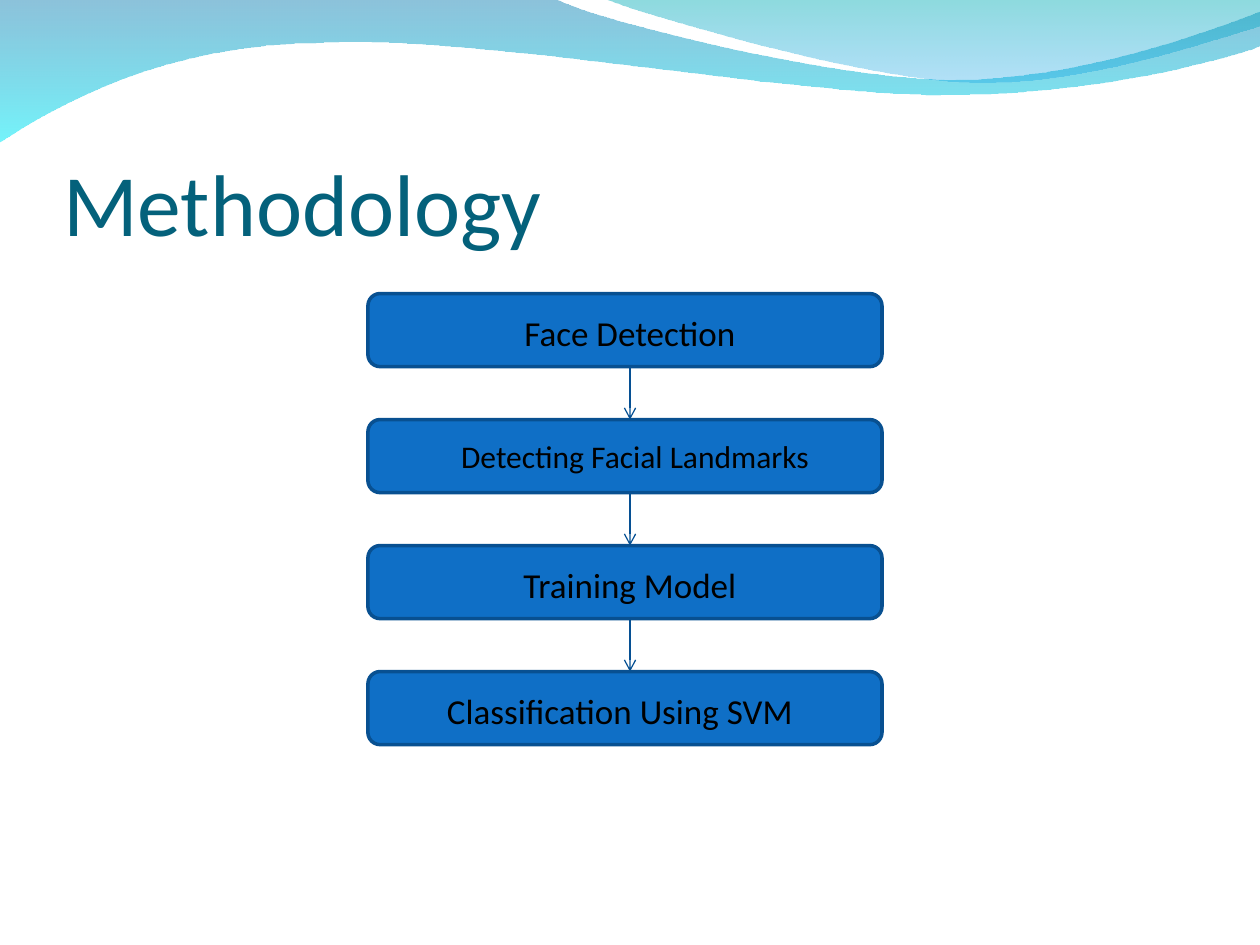
from lxml.etree import Element, SubElement
from pptx import Presentation
from pptx.dml.color import RGBColor
from pptx.enum.shapes import MSO_CONNECTOR, MSO_SHAPE
from pptx.enum.text import MSO_ANCHOR, MSO_AUTO_SIZE, PP_ALIGN
from pptx.oxml.ns import qn
from pptx.util import Inches, Pt

# Content: label, text size, centre and width of the label
STEPS = [
    ("Face Detection", 20, 5, 3),
    ("Detecting Facial Landmarks", 18, 5.04, 3.42),
    ("Training Model", 20, 5, 3),
    ("Classification Using SVM", 20, 4.92, 3),
]
BOX_LEFT, BOX_TOP, BOX_WIDTH, BOX_HEIGHT = 2.92, 2.33, 4.08, 0.58
STEP_PITCH, ARROW_X = 1, 5

# Header waves: two numbers make a line, six make a Bézier curve;
# each gradient stop is a colour with its opacity in percent
WAVES = [
    {"start": (0, -0.01),
     "segments": [(4.4, -0.01), (4.76, 0.17, 6.64, 0.63, 7.58, 0.63),
                  (8.53, 0.63, 9.58, 0.26, 10, 0.09), (10.01, 0.36),
                  (9.83, 0.44, 8.7, 0.76, 7.46, 0.75),
                  (6.22, 0.75, 3.82, 0.28, 2.57, 0.34),
                  (1.29, 0.35, 0.46, 0.83, -0.01, 1.13), (0, -0.01)],
     "stops": [("0079AF", 45), ("00EBF8", 55)]},
    {"start": (4.79, -0.01),
     "segments": [(5.09, 0.11, 6.82, 0.62, 7.69, 0.65),
                  (8.56, 0.69, 9.61, 0.32, 10, 0.21), (10, 0),
                  (4.79, -0.01)],
     "stops": [("00ADB6", 45), ("009BE5", 30)]},
]


def color(value):
    return RGBColor.from_string(value)


def write(frame, text, *, size, ink, align, anchor=MSO_ANCHOR.TOP,
          insets=(0.1, 0.05, 0.1, 0.05), fit=MSO_AUTO_SIZE.NONE):
    frame.word_wrap = True
    frame.auto_size = fit
    frame.vertical_anchor = anchor
    (frame.margin_left, frame.margin_top,
     frame.margin_right, frame.margin_bottom) = map(Inches, insets)
    para = frame.paragraphs[0]
    para.alignment = align
    span = para.add_run()
    span.text = text
    span.font.name = "Calibri"
    span.font.size = Pt(size)
    span.font.color.rgb = color(ink)


def bend(wave, segments):
    """Turn the straight lines of a wave into curves where it has them."""
    lines = list(wave.element.spPr.iter(qn("a:lnTo")))
    for line, segment in zip(lines, segments):
        if len(segment) == 6:
            curve = Element(qn("a:cubicBezTo"))
            for x, y in zip(segment[::2], segment[1::2]):
                SubElement(curve, qn("a:pt"), x=str(Inches(x) - wave.left),
                           y=str(Inches(y) - wave.top))
            line.getparent().replace(line, curve)


def add_wave(shapes, start, segments, stops):
    builder = shapes.build_freeform(*map(Inches, start))
    builder.add_line_segments([tuple(map(Inches, segment[-2:]))
                               for segment in segments], close=True)
    wave = builder.convert_to_shape()
    bend(wave, segments)
    wave.shadow.inherit = False
    wave.fill.gradient()
    wave.fill.gradient_angle = 270
    for stop, (value, _) in zip(wave.fill.gradient_stops, stops):
        stop.color.rgb = color(value)
    for tint, (_, opacity) in zip(wave.element.spPr.iter(qn("a:srgbClr")), stops):
        SubElement(tint, qn("a:alpha"), val=str(opacity * 1000))
    wave.line.fill.background()


def add_arrow(shapes, top, bottom):
    arrow = shapes.add_connector(MSO_CONNECTOR.STRAIGHT, Inches(ARROW_X),
                                 Inches(top), Inches(ARROW_X), Inches(bottom))
    arrow.line.color.rgb = color("065093")
    arrow.line.width = Pt(0.75)
    outline = arrow.element.spPr.find(qn("a:ln"))
    SubElement(outline, qn("a:tailEnd"), type="arrow")
    SubElement(arrow.element.spPr, qn("a:effectLst"))


def main():
    deck = Presentation()
    deck.slide_width, deck.slide_height = Inches(10), Inches(7.5)
    slide = deck.slides.add_slide(deck.slide_layouts[5])
    shapes = slide.shapes

    # Header waves, behind the title
    for wave in WAVES:
        add_wave(shapes, **wave)

    # Title
    title = shapes.title
    title.left, title.top = Inches(0.5), Inches(0.77)
    title.width, title.height = Inches(9), Inches(1.25)
    write(title.text_frame, "Methodology", size=50, ink="04617B",
          align=PP_ALIGN.LEFT, anchor=MSO_ANCHOR.BOTTOM, insets=(0, 0.05, 0, 0))
    title.element.getparent().append(title.element)

    # Step boxes
    tops = [BOX_TOP + STEP_PITCH * index for index in range(len(STEPS))]
    for top in tops:
        box = shapes.add_shape(MSO_SHAPE.ROUNDED_RECTANGLE, Inches(BOX_LEFT),
                               Inches(top), Inches(BOX_WIDTH), Inches(BOX_HEIGHT))
        box.shadow.inherit = False
        box.fill.solid()
        box.fill.fore_color.rgb = color("0F6FC6")
        box.line.color.rgb = color("085091")
        box.line.width = Pt(2)

    # Step labels
    for top, (text, size, centre, width) in zip(tops, STEPS):
        label = shapes.add_textbox(Inches(centre - width / 2), Inches(top + 0.09),
                                   Inches(width), Inches(0.022 * size))
        write(label.text_frame, text, size=size, ink="000000",
              align=PP_ALIGN.CENTER, fit=MSO_AUTO_SIZE.SHAPE_TO_FIT_TEXT)

    # Arrows between the steps
    for top, next_top in zip(tops, tops[1:]):
        add_arrow(shapes, top + BOX_HEIGHT, next_top)

    deck.save("out.pptx")


if __name__ == "__main__":
    main()
